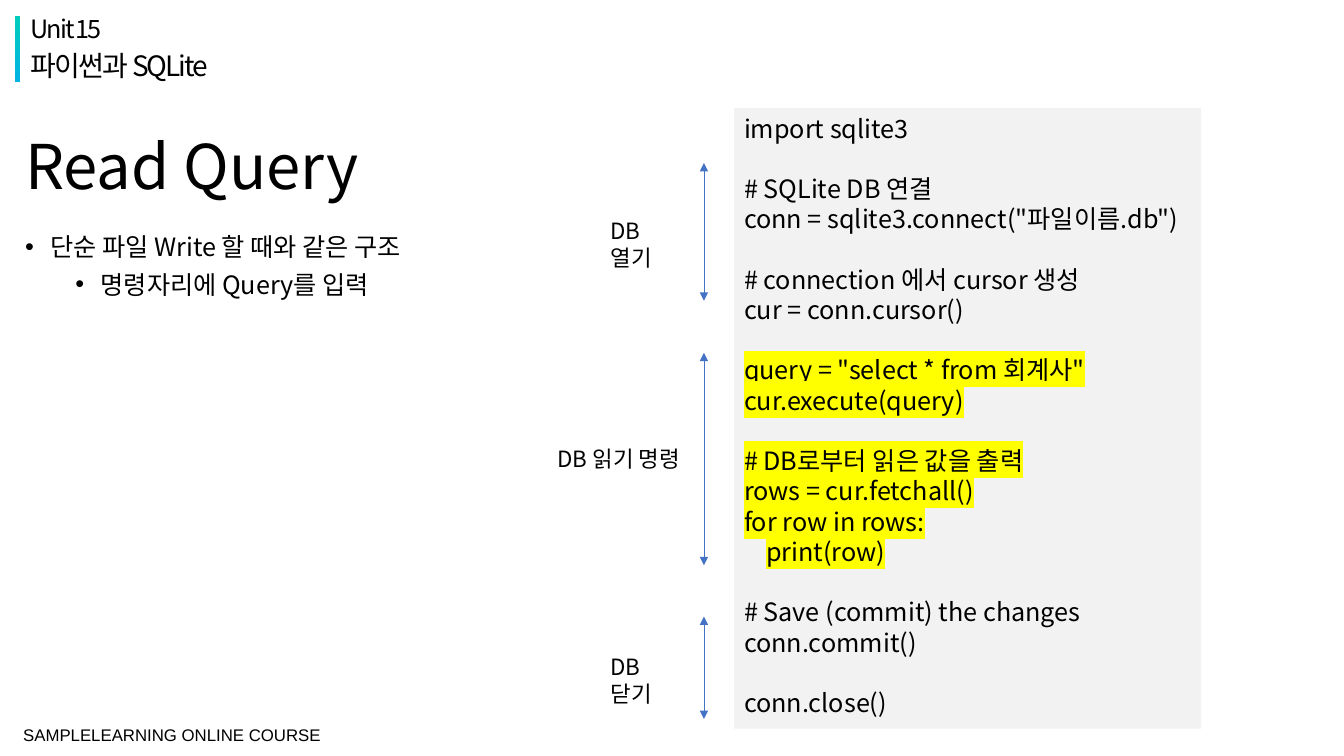
import dataclasses

import pptx
import pptx.dml.color
import pptx.enum.dml
import pptx.enum.shapes
import pptx.enum.text
import pptx.oxml
import pptx.oxml.ns
import pptx.util

SLIDE_WIDTH, SLIDE_HEIGHT = 13.33, 7.5
COLUMNS, ROWS = 160, 90


@dataclasses.dataclass(frozen=True)
class Theme:
    ink: str = "000000"
    accent: str = "4472C4"
    panel: str = "F2F2F2"
    marker: str = "FFFF00"
    bar_top: str = "02CCBA"
    bar_bottom: str = "02B3E4"
    font: str = "Noto Sans CJK KR"
    footer_font: str = "Arial"
    title: int = 44
    topic: int = 20
    body: int = 18
    label: int = 16
    footer: int = 12
    leading: float = 1.2
    tight_leading: float = 1.08
    tracking: float = -1.5


@dataclasses.dataclass(frozen=True)
class Line:
    text: str
    marker: str = ""
    gap: float = 0
    indent: float = 0
    bullet: str = ""


THEME = Theme()

CODE_BLOCKS = [
    ("", ["import sqlite3"]),
    ("", ["# SQLite DB 연결", 'conn = sqlite3.connect("파일이름.db")']),
    ("", ["# connection 에서 cursor 생성", "cur = conn.cursor()"]),
    (THEME.marker, ['query = "select * from 회계사"', "cur.execute(query)"]),
    (THEME.marker, ["# DB로부터 읽은 값을 출력", "rows = cur.fetchall()",
                    "for row in rows:", "\tprint(row)"]),
    ("", ["# Save (commit) the changes", "conn.commit()"]),
    ("", ["conn.close()"]),
]

STAGES = [
    ("DB 열기", 71.5, 25.3, 9.6, 19.4, 35.8),
    ("DB 읽기 명령", 65.2, 52.4, 18.6, 42, 67.3),
    ("DB 닫기", 71.5, 77.2, 9.6, 73.4, 85.6),
]


def across(columns):
    return pptx.util.Inches(SLIDE_WIDTH * columns / COLUMNS)


def down(rows):
    return pptx.util.Inches(SLIDE_HEIGHT * rows / ROWS)


def place(left, top, width, height):
    return across(left), down(top), across(width), down(height)


def color(value):
    return pptx.dml.color.RGBColor.from_string(value)


def element(tag, **attributes):
    node = pptx.oxml.parse_xml(f"<a:{tag} {pptx.oxml.ns.nsdecls('a')}/>")
    for key, value in attributes.items():
        node.set(key, value)
    return node


def add_run(paragraph, line, size, font, tracking):
    run = paragraph.add_run()
    run.text = line.text
    run.font.size = pptx.util.Pt(size)
    run.font.color.rgb = color(THEME.ink)
    run.font.name = font
    properties = run.font._element
    latin = properties.find(pptx.oxml.ns.qn("a:latin"))
    latin.addnext(element("ea", typeface=font))
    if line.marker:
        highlight = element("highlight")
        highlight.append(element("srgbClr", val=line.marker))
        latin.addprevious(highlight)
    if tracking:
        properties.set("spc", str(round(tracking * 100)))


def write(frame, lines, size, font=THEME.font, leading=THEME.leading, tracking=0,
          anchor=pptx.enum.text.MSO_ANCHOR.TOP):
    frame.word_wrap = True
    frame.vertical_anchor = anchor
    for index, line in enumerate(lines):
        paragraph = frame.add_paragraph() if index else frame.paragraphs[0]
        paragraph.alignment = pptx.enum.text.PP_ALIGN.LEFT
        paragraph.line_spacing = pptx.util.Pt(size * leading)
        paragraph.space_before = pptx.util.Pt(line.gap)
        properties = paragraph._p.get_or_add_pPr()
        if line.indent:
            properties.set("marL", str(pptx.util.Inches(line.indent)))
        if line.bullet:
            properties.set("indent", str(pptx.util.Inches(-0.25)))
            properties.append(element("buFont", typeface="Arial"))
            properties.append(element("buChar", char=line.bullet))
        add_run(paragraph, line, size, font, tracking)


def add_text(slide, grid, lines, size, **style):
    frame = slide.shapes.add_textbox(*place(*grid)).text_frame
    write(frame, lines, size, **style)
    return frame


def add_block(slide, grid):
    block = slide.shapes.add_shape(
        pptx.enum.shapes.MSO_SHAPE.RECTANGLE, *place(*grid))
    block.shadow.inherit = False
    block.line.fill.background()
    return block


def add_accent_bar(slide):
    fill = add_block(slide, (1.8, 1.9, 0.6, 7.9)).fill
    fill.gradient()
    fill.gradient_angle = 270
    for stop, shade in zip(fill.gradient_stops, (THEME.bar_top, THEME.bar_bottom)):
        stop.color.rgb = color(shade)


def add_code_panel(slide):
    panel = add_block(slide, (87.4, 12.85, 55.6, 73.9))
    panel.fill.solid()
    panel.fill.fore_color.rgb = color(THEME.panel)
    empty_line = THEME.body * THEME.leading
    lines = [
        Line(code.lstrip("\t"), marker,
             gap=empty_line if block and not row else 0,
             indent=0.22 * code.count("\t"))
        for block, (marker, codes) in enumerate(CODE_BLOCKS)
        for row, code in enumerate(codes)
    ]
    write(panel.text_frame, lines, THEME.body)


def add_span_arrow(slide, column, start, end):
    arrow = slide.shapes.add_connector(
        pptx.enum.shapes.MSO_CONNECTOR.STRAIGHT,
        across(column), down(start), across(column), down(end))
    arrow.line.color.rgb = color(THEME.accent)
    arrow.line.width = pptx.util.Pt(0.5)
    outline = arrow.line._get_or_add_ln()
    for end_tag in ("headEnd", "tailEnd"):
        outline.append(element(end_tag, type="triangle"))
    arrow._element.spPr.append(element("effectLst"))


def add_stage(slide, name, left, top, width, start, end):
    add_span_arrow(slide, 83.8, start, end)
    add_text(slide, (left, top, width, 4.4), [Line(name)], THEME.label)


def add_footer(slide):
    frame = add_text(
        slide, (1.8, 85.3, 47.6, 4.3), [Line("SAMPLELEARNING ONLINE COURSE")],
        THEME.footer, font=THEME.footer_font,
        anchor=pptx.enum.text.MSO_ANCHOR.MIDDLE)
    frame.margin_left = frame.margin_right = pptx.util.Inches(0.08)
    frame.margin_top = frame.margin_bottom = pptx.util.Inches(0.08)


def main():
    deck = pptx.Presentation()
    deck.slide_width = pptx.util.Inches(SLIDE_WIDTH)
    deck.slide_height = pptx.util.Inches(SLIDE_HEIGHT)
    slide = deck.slides.add_slide(deck.slide_layouts[6])
    add_accent_bar(slide)
    add_footer(slide)
    add_text(slide, (1.8, 15, 138, 10.2), [Line("Read Query")], THEME.title,
             leading=THEME.tight_leading, anchor=pptx.enum.text.MSO_ANCHOR.MIDDLE)
    for heading, top, size in (("Unit 15", 1.3, THEME.body),
                               ("파이썬과 SQLite", 5.6, THEME.topic)):
        add_text(slide, (2.5, top, 96.6, 4.1), [Line(heading)], size,
                 leading=THEME.tight_leading, tracking=THEME.tracking)
    add_text(slide, (1.8, 27, 59.7, 10.2), [
        Line("단순 파일 Write 할 때와 같은 구조", indent=0.25, bullet="•"),
        Line("명령자리에 Query를 입력", gap=5, indent=0.75, bullet="•"),
    ], THEME.body)
    add_code_panel(slide)
    for stage in STAGES:
        add_stage(slide, *stage)
    deck.save("out.pptx")


if __name__ == "__main__":
    main()
